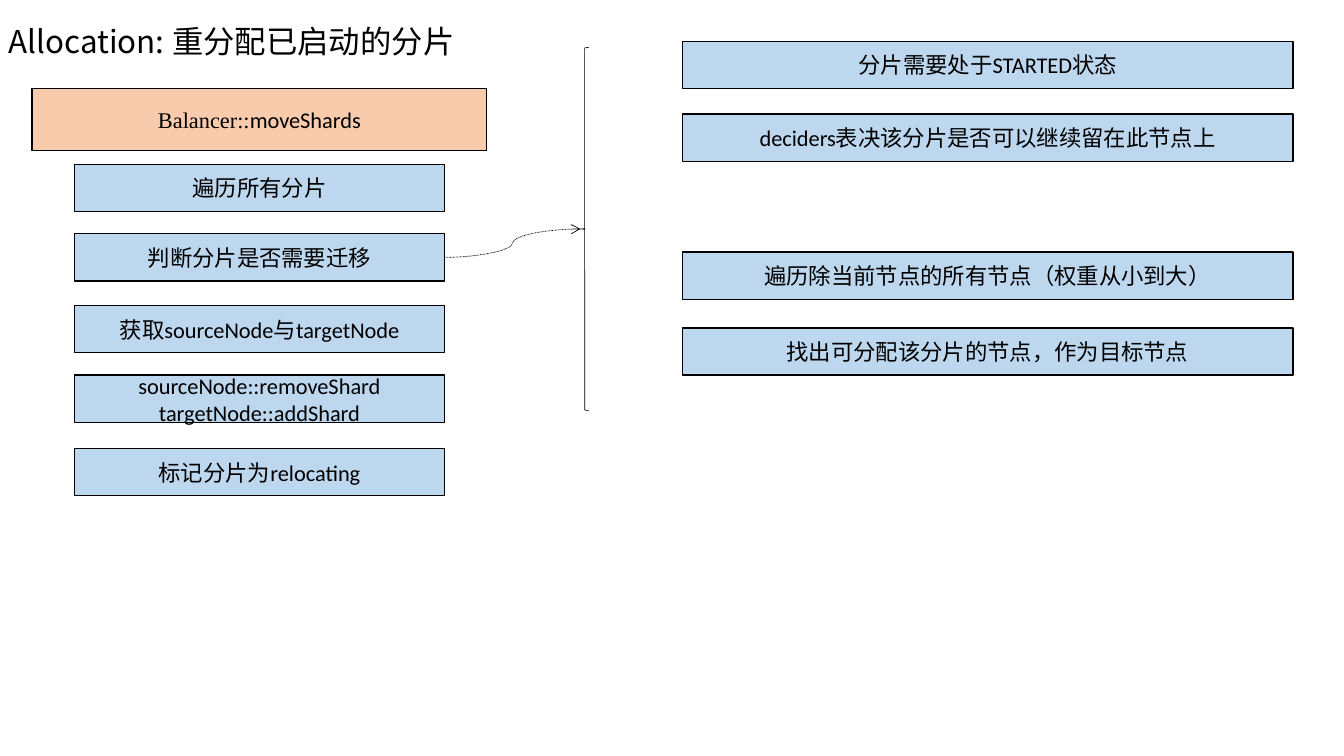
"""Builds the slide on moving shards that are already started."""
from lxml import etree
from pptx import Presentation
from pptx import util as u
from pptx.dml import color
from pptx.enum import dml, shapes, text
from pptx.oxml import ns

Pt = u.Pt
CJK = "Noto Sans CJK SC"
BLACK, ORANGE, BLUE = "000000", "F8CBAD", "BDD7EE"


def rgb(value):
    return color.RGBColor.from_string(value)


def write(paragraph, words, font="Calibri", size=16, align=text.PP_ALIGN.CENTER):
    paragraph.alignment = align
    run = paragraph.add_run()
    run.text = words
    run.font.size = Pt(size)
    run.font.color.rgb = rgb(BLACK)
    run.font.name = font
    east_asian = etree.SubElement(run.font._element, ns.qn("a:ea"))
    east_asian.set("typeface", CJK)


prs = Presentation()
prs.slide_width, prs.slide_height = Pt(960), Pt(540)
slide = prs.slides.add_slide(prs.slide_layouts[5])

heading = slide.shapes.title
heading.left, heading.top, heading.width, heading.height = Pt(-1), Pt(-2), Pt(372), Pt(65.5)
heading.text_frame.vertical_anchor = text.MSO_ANCHOR.MIDDLE
heading.text_frame.auto_size = text.MSO_AUTO_SIZE.NONE
heading_line = heading.text_frame.paragraphs[0]
heading_line.line_spacing = 0.9
write(heading_line, "Allocation: 重分配已启动的分片", font=CJK, size=22.4,
      align=text.PP_ALIGN.LEFT)

LEFT_COLUMN, RIGHT_COLUMN = (53.3, 264.2), (487.4, 436.3)
STEP_HEIGHT = 33.8
steps = [
    (23, 63.4, 324.7, 44, ORANGE, []),
    *[(LEFT_COLUMN[0], top, LEFT_COLUMN[1], STEP_HEIGHT, BLUE, lines) for top, lines in [
        (117.4, ["遍历所有分片"]),
        (167, ["判断分片是否需要迁移"]),
        (218.2, ["获取sourceNode与targetNode"]),
        (268, ["sourceNode::removeShard", "targetNode::addShard"]),
        (320.4, ["标记分片为relocating"]),
    ]],
    *[(RIGHT_COLUMN[0], top, RIGHT_COLUMN[1], STEP_HEIGHT, BLUE, lines) for top, lines in [
        (29.5, ["分片需要处于STARTED状态"]),
        (81.4, ["deciders表决该分片是否可以继续留在此节点上"]),
        (180, ["遍历除当前节点的所有节点（权重从小到大）"]),
        (234.2, ["找出可分配该分片的节点，作为目标节点"]),
    ]],
]
boxes = []
for left, top, width, height, fill, lines in steps:
    box = slide.shapes.add_shape(shapes.MSO_SHAPE.RECTANGLE,
                                 Pt(left), Pt(top), Pt(width), Pt(height))
    box.shadow.inherit = False
    box.fill.solid()
    box.fill.fore_color.rgb = rgb(fill)
    box.line.color.rgb = rgb(BLACK)
    box.line.width = Pt(1)
    frame = box.text_frame
    frame.word_wrap = True
    frame.vertical_anchor = text.MSO_ANCHOR.MIDDLE
    for number, words in enumerate(lines):
        write(frame.add_paragraph() if number else frame.paragraphs[0], words)
    boxes.append(box)

move_shards, walk_shards, check_shard = boxes[:3]
method = move_shards.text_frame.paragraphs[0]
write(method, "Balancer::", font="Times New Roman")
write(method, "moveShards")

brace = slide.shapes.add_shape(shapes.MSO_SHAPE.LEFT_BRACE,
                               Pt(414.7), Pt(34), Pt(5.8), Pt(259.2))
brace.shadow.inherit = False
brace.fill.background()
brace.line.color.rgb = rgb(BLACK)
brace.line.width = Pt(0.5)

detail = slide.shapes.add_connector(shapes.MSO_CONNECTOR.CURVE,
                                    Pt(317.5), Pt(183.9), Pt(414.7), Pt(163.6))
detail.begin_connect(check_shard, 3)
detail.end_connect(brace, 1)
detail.line.color.rgb = rgb(BLACK)
detail.line.width = Pt(0.5)
detail.line.dash_style = dml.MSO_LINE.ROUND_DOT
etree.SubElement(detail.line._get_or_add_ln(), ns.qn("a:tailEnd")).set("type", "arrow")
etree.SubElement(detail._element.spPr, ns.qn("a:effectLst"))

prs.save("out.pptx")
